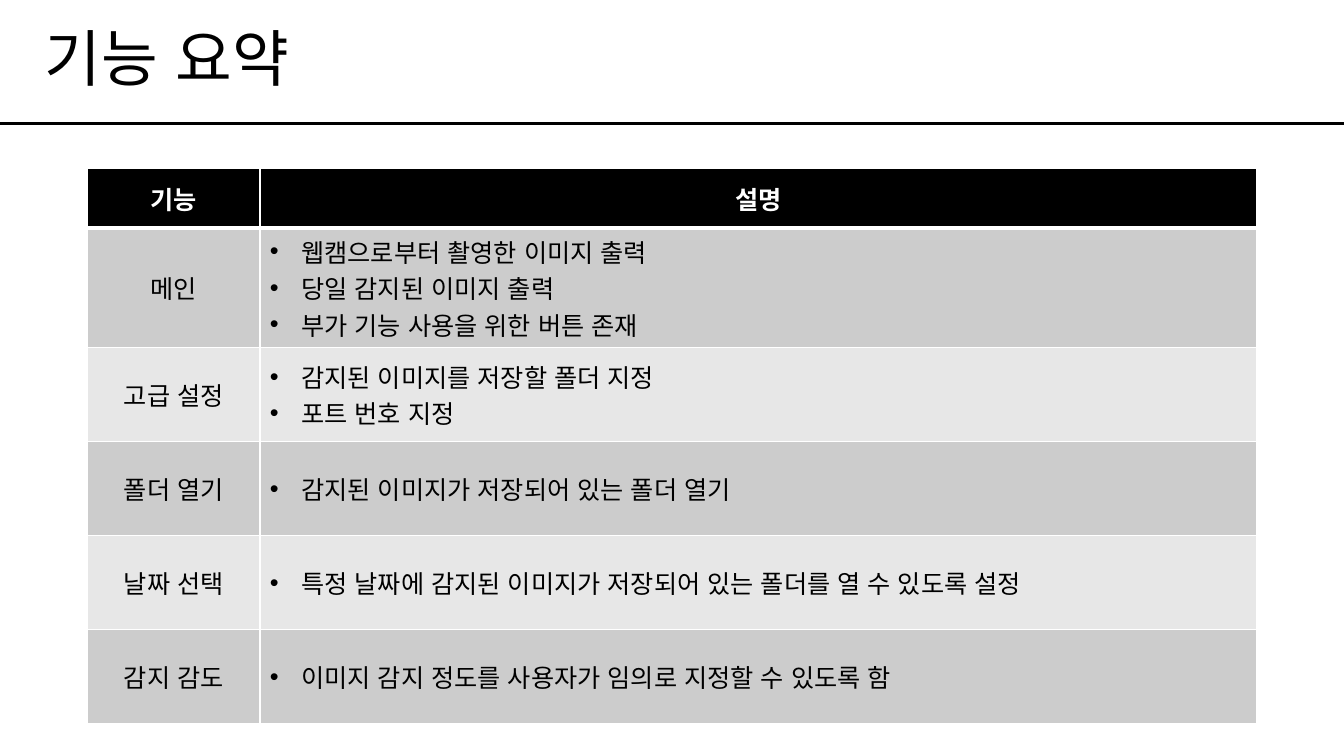
"""Build the feature summary slide with its title, rule and table."""
from lxml.etree import SubElement
from pptx import Presentation
from pptx.dml.color import RGBColor
from pptx.enum.lang import MSO_LANGUAGE_ID
from pptx.enum.text import MSO_ANCHOR, PP_ALIGN
from pptx.oxml import parse_xml
from pptx.oxml.ns import nsdecls, qn
from pptx.util import Cm, Pt

FONT = "Noto Sans CJK KR"
BLACK = RGBColor(0, 0, 0)
WHITE = RGBColor(255, 255, 255)
DARK = RGBColor(0xCC, 0xCC, 0xCC)
LIGHT = RGBColor(0xE7, 0xE7, 0xE7)
WIDTH, HEIGHT, TOP = Cm(33.87), Cm(19.05), Cm(3.12)

ROWS = [
    (1.49, "기능", ["설명"]),
    (3.02, "메인", ["웹캠으로부터 촬영한 이미지 출력",
                  "당일 감지된 이미지 출력",
                  "부가 기능 사용을 위한 버튼 존재"]),
    (2.37, "고급 설정", ["감지된 이미지를 저장할 폴더 지정", "포트 번호 지정"]),
    (2.37, "폴더 열기", ["감지된 이미지가 저장되어 있는 폴더 열기"]),
    (2.37, "날짜 선택", ["특정 날짜에 감지된 이미지가 저장되어 있는 폴더를 열 수 있도록 설정"]),
    (2.37, "감지 감도", ["이미지 감지 정도를 사용자가 임의로 지정할 수 있도록 함"]),
]


def style(para, size, color, bold=False):
    font = para.font
    font.size, font.bold, font.name = Pt(size), bold, FONT
    font.color.rgb = color
    font.language_id = MSO_LANGUAGE_ID.KOREAN
    SubElement(font._element, qn("a:ea"), typeface=FONT)
    for run in para.runs:
        run.font.language_id = MSO_LANGUAGE_ID.KOREAN


def border(cell, side, width):
    cell._tc.get_or_add_tcPr().append(parse_xml(
        f'<a:ln{side} {nsdecls("a")} w="{Pt(width)}"><a:solidFill>'
        f'<a:srgbClr val="{WHITE}"/></a:solidFill></a:ln{side}>'))


deck = Presentation()
deck.slide_width, deck.slide_height = WIDTH, HEIGHT
slide = deck.slides.add_slide(deck.slide_layouts[6])

rule = slide.shapes.add_connector(1, 0, TOP, WIDTH, TOP)
rule.line.color.rgb = BLACK
rule.line.width = Pt(2.25)
SubElement(rule._element.spPr, qn("a:effectLst"))

title = slide.shapes.add_textbox(0, 0, WIDTH, TOP).text_frame
title.word_wrap = True
title.vertical_anchor = MSO_ANCHOR.MIDDLE
title.margin_left = Cm(1.13)
title.text = "기능 요약"
title.paragraphs[0].line_spacing = 0.9
style(title.paragraphs[0], 44, BLACK)

table = slide.shapes.add_table(
    len(ROWS), 2, Cm(2.21), Cm(4.25), Cm(29.46), Cm(13.99)).table
table.columns[0].width, table.columns[1].width = Cm(4.34), Cm(25.12)

for r, (height, name, notes) in enumerate(ROWS):
    head = r == 0
    table.rows[r].height = Cm(height)
    for c, lines in enumerate(([name], notes)):
        cell = table.cell(r, c)
        for side in "LRTB":
            border(cell, side, 3 if head and side == "B" else 1)
        cell.fill.solid()
        cell.fill.fore_color.rgb = BLACK if head else DARK if r % 2 else LIGHT
        cell.vertical_anchor = MSO_ANCHOR.MIDDLE
        cell.text = "\n".join(lines)
        for para in cell.text_frame.paragraphs:
            style(para, 18, WHITE if head else BLACK, head)
            if head or c == 0:
                para.alignment = PP_ALIGN.CENTER
                continue
            props = para._p.get_or_add_pPr()
            props.set("marL", str(Cm(0.79)))
            props.set("indent", str(-Cm(0.79)))
            props.insert(0, parse_xml(f'<a:buFont {nsdecls("a")} typeface="Arial"/>'))
            props.insert(1, parse_xml(f'<a:buChar {nsdecls("a")} char="•"/>'))

deck.save("out.pptx")
